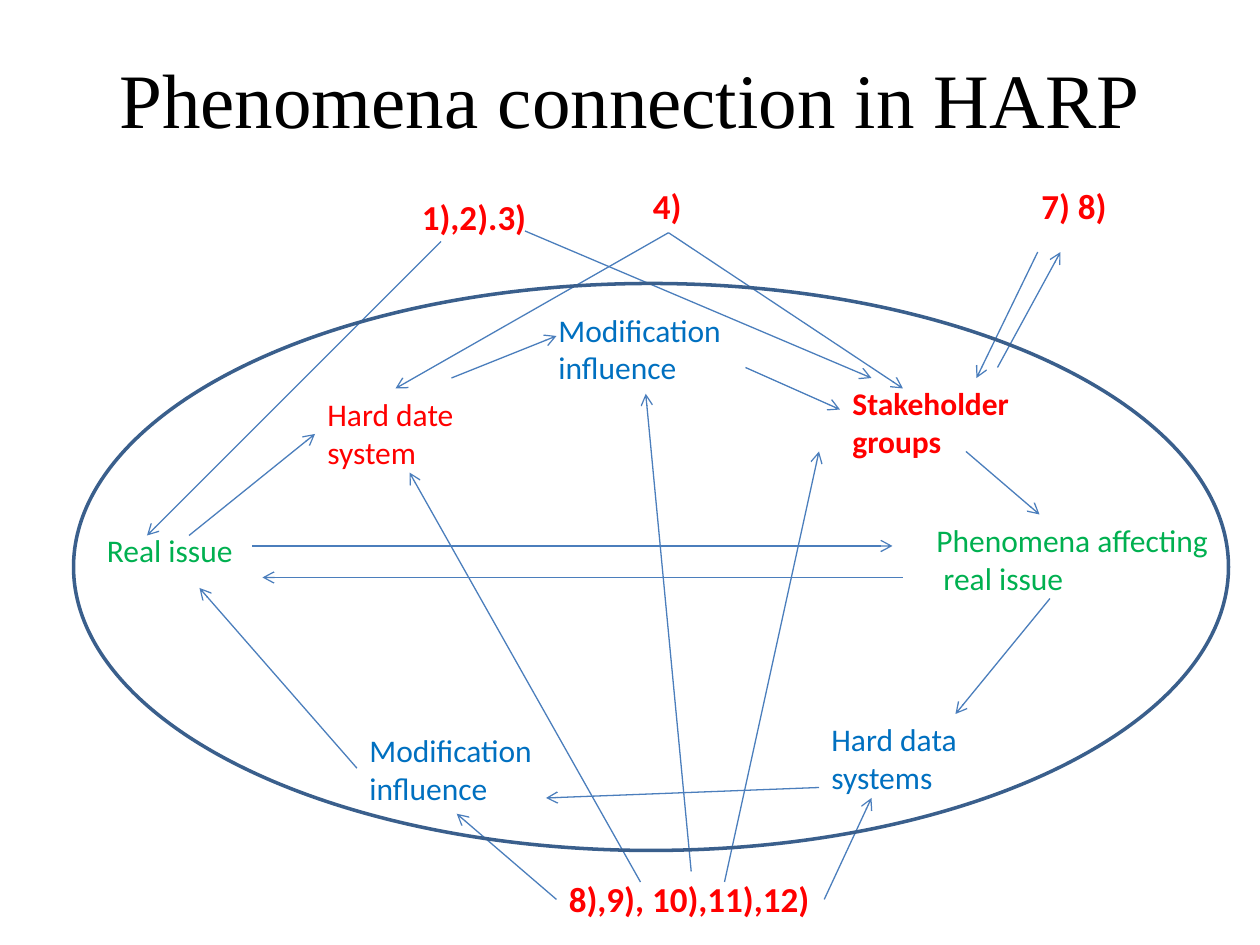
from dataclasses import dataclass

from lxml import etree
from pptx import Presentation
from pptx.dml.color import RGBColor
from pptx.enum import shapes, text
from pptx.oxml import ns
from pptx.util import Pt


@dataclass(frozen=True)
class Theme:
    title_font: str = "Times New Roman"
    body_font: str = "Calibri"
    title_size: int = 44
    marker_size: int = 20
    label_size: int = 18
    black: str = "000000"
    red: str = "FF0000"
    green: str = "00B050"
    blue: str = "0070C0"
    arrow: str = "4B7EBC"
    outline: str = "3A5F8C"
    arrow_width: float = 0.75
    outline_width: float = 2


THEME = Theme()

# Positions below are points from the top left corner of the diagram.
# Label: text, left, top, width, height, colour, bold
LABELS = [
    ("Real issue", 12, 198, 87, 29, THEME.green, False),
    ("Phenomena affecting\n real issue", 486, 192, 172, 73, THEME.green, False),
    ("Hard date\nsystem", 138, 120, 91, 51, THEME.red, False),
    ("Modification\ninfluence", 270, 72, 113, 51, THEME.blue, False),
    ("Stakeholder\ngroups", 438, 114, 109, 51, THEME.red, True),
    ("Modification\ninfluence", 162, 312, 113, 51, THEME.blue, False),
    ("Hard data\nsystems", 426, 306, 91, 51, THEME.blue, False),
]

# Marker: text, left, top, width
MARKERS = [
    ("1),2).3)", 192, 6, 75),
    ("4)", 324, 0, 31),
    ("7) 8)", 546, 0, 52),
    ("8),9), 10),11),12)", 276, 396, 153),
]
MARKER_HEIGHT = 32

CYCLE_ARROWS = [
    ((102, 210), (468, 210)),
    ((474, 228), (108, 228)),
    ((66, 204), (138, 146)),
    ((216, 114), (276, 90)),
    ((384, 108), (438, 132)),
    ((510, 156), (552, 192)),
    ((558, 240), (504, 306)),
    ((426, 348), (270, 354)),
    ((162, 337), (72, 234)),
]

MARKER_ARROWS = [
    ((528, 108), (564, 42)),
    ((551, 42), (516, 114)),
    ((210, 36), (42, 204)),
    ((258, 30), (456, 114)),
    ((340, 31), (474, 120)),
    ((340, 31), (184, 120)),
    ((276, 412), (219, 363)),
    ((429, 412), (456, 354)),
    ((324, 402), (192, 168)),
    ((353, 396), (327, 123)),
    ((372, 402), (426, 156)),
]


def format_runs(frame, font_name, size, colour, bold=False):
    for paragraph in frame.paragraphs:
        for run in paragraph.runs:
            run.font.name = font_name
            run.font.size = Pt(size)
            run.font.bold = bold
            run.font.color.rgb = RGBColor.from_string(colour)


def add_title(slide, wording, left, top, width, height):
    title = slide.shapes.title
    title.left, title.top = Pt(left), Pt(top)
    title.width, title.height = Pt(width), Pt(height)
    frame = title.text_frame
    frame.text = wording
    frame.vertical_anchor = text.MSO_ANCHOR.MIDDLE
    frame.paragraphs[0].alignment = text.PP_ALIGN.CENTER
    format_runs(frame, THEME.title_font, THEME.title_size, THEME.black)


def add_label(slide, wording, left, top, width, height, size, colour, bold):
    label = slide.shapes.add_textbox(Pt(left), Pt(top), Pt(width), Pt(height))
    frame = label.text_frame
    frame.text = wording
    frame.word_wrap = False
    frame.auto_size = text.MSO_AUTO_SIZE.SHAPE_TO_FIT_TEXT
    format_runs(frame, THEME.body_font, size, colour, bold)


def add_arrow(slide, start, end):
    arrow = slide.shapes.add_connector(
        shapes.MSO_CONNECTOR.STRAIGHT, *(Pt(value) for value in (*start, *end)))
    arrow.line.color.rgb = RGBColor.from_string(THEME.arrow)
    arrow.line.width = Pt(THEME.arrow_width)
    etree.SubElement(arrow.line._get_or_add_ln(), ns.qn("a:tailEnd"), type="arrow")
    etree.SubElement(arrow._element.spPr, ns.qn("a:effectLst"))


def add_boundary(slide, left, top, width, height):
    """Draw the unfilled ellipse that encloses the cycle."""
    boundary = slide.shapes.add_shape(
        shapes.MSO_SHAPE.OVAL, Pt(left), Pt(top), Pt(width), Pt(height))
    boundary.shadow.inherit = False
    boundary.fill.background()
    boundary.line.color.rgb = RGBColor.from_string(THEME.outline)
    boundary.line.width = Pt(THEME.outline_width)


def add_diagram(slide, left, top, width):
    for wording, x, y, w, h, colour, bold in LABELS:
        add_label(slide, wording, left + x, top + y, w, h,
                  THEME.label_size, colour, bold)
    for wording, x, y, w in MARKERS:
        add_label(slide, wording, left + x, top + y, w, MARKER_HEIGHT,
                  THEME.marker_size, THEME.red, True)
    for start, end in CYCLE_ARROWS + MARKER_ARROWS:
        add_arrow(slide, *((left + x, top + y) for x, y in (start, end)))
    add_boundary(slide, left, top + 60, width, 324)


def main():
    deck = Presentation()
    deck.slide_width, deck.slide_height = Pt(720), Pt(540)
    title_only = deck.slide_layouts[5]
    slide = deck.slides.add_slide(title_only)
    add_title(slide, "Phenomena connection in HARP", 36, 21.6, 648, 68.4)
    add_diagram(slide, 42, 102, 660)
    deck.save("out.pptx")


if __name__ == "__main__":
    main()
